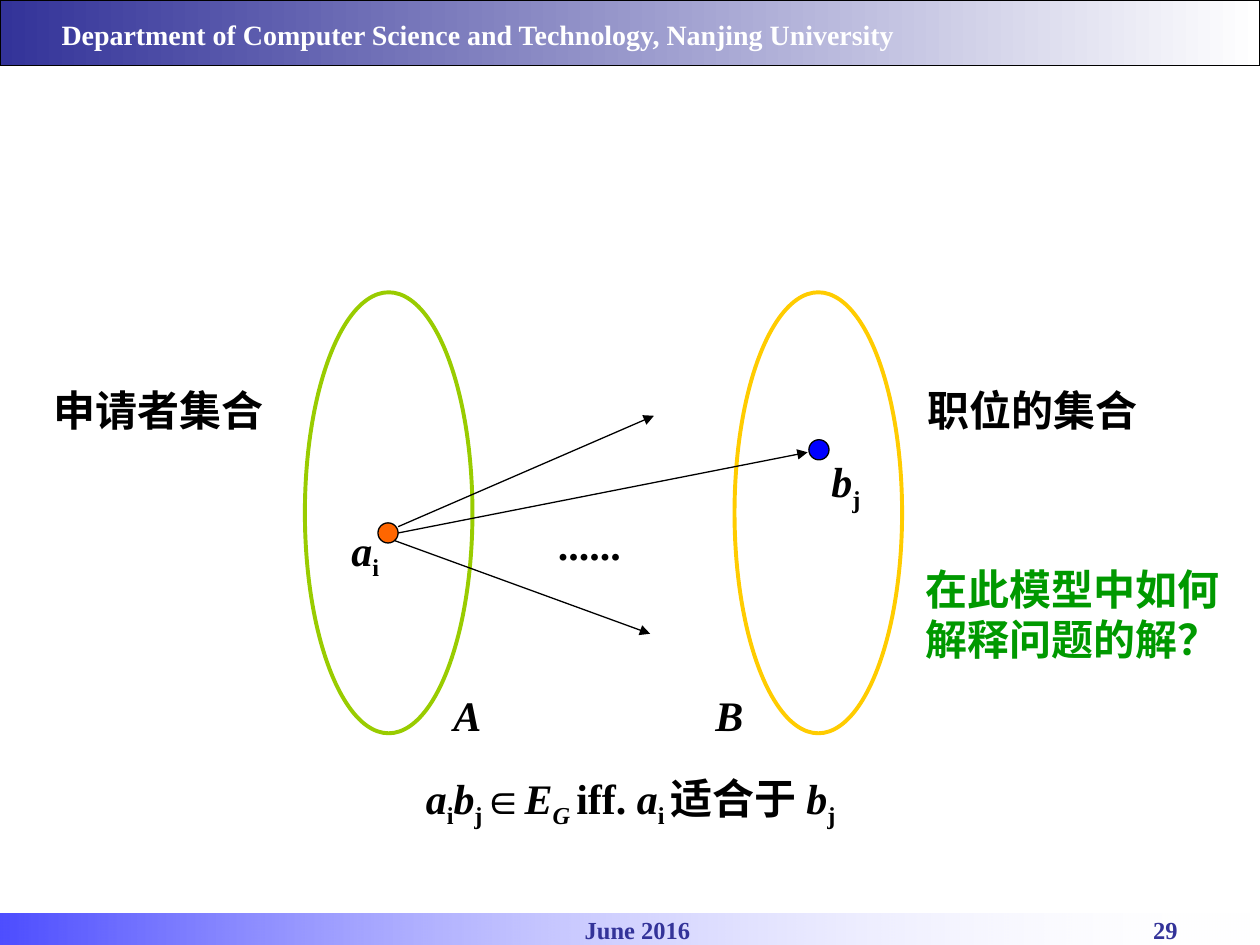
"""Builds the bipartite model slide for the job assignment problem."""
from lxml.etree import SubElement
from pptx import Presentation
from pptx.dml.color import RGBColor
from pptx.enum.shapes import MSO_CONNECTOR as CONN, MSO_SHAPE as SHAPE
from pptx.enum.text import PP_ALIGN as ALIGN
from pptx.oxml.ns import qn
from pptx.util import Inches, Pt

W, H = 10, 7.5
SERIF = "Times New Roman"
BLACK, WHITE, NAVY, GREEN = "000000", "FFFFFF", "333399", "009900"

# Gradient bands: top, height, start colour, opacity of both ends, line
BANDS = [(0, 0.52, NAVY, (100, 100), BLACK),
         (7.25, 0.25, "0000FF", (70, 0), None)]

# Sets: left, colour; nodes: left, top, colour
SET_TOP, SET_W, SET_H, DOT = 2.32, 1.33, 3.5, 0.16
SETS = [(2.42, "99CC00"), (5.83, "FFCC00")]
NODES = [(3, 4.15, "FF6600"), (6.42, 3.49, "0000FF")]
ARROWS = [((3.16, 4.23), (6.41, 3.59)),
          ((3.16, 4.18), (5.19, 3.3)),
          ((3.13, 4.29), (5.16, 5.03))]

# Runs are (text, style): i is italic, s is subscript
A_I = [("a", "i"), ("i", "s")]
B_J = [("b", "i"), ("j", "s")]
RULE = [*A_I, *B_J, ("∈", ""), ("E", "i"), ("G ", "is"), ("iff. ", ""),
        ("a", "i"), ("i ", "s"), ("适合于 ", ""), *B_J]
FOOTER = dict(size=14, color=NAVY, align=ALIGN.CENTER)

# Texts: box, runs, format
TEXTS = [
    ((4.06, 7.21, 2, 0.33), [("June 2016", "")], FOOTER),
    ((8.75, 7.21, 1, 0.33), [("29", "")], FOOTER),
    ((0.39, 0.12, 7.08, 0.35),
     [("Department of Computer Science and Technology, Nanjing University", "")],
     dict(size=16, color=WHITE, align=ALIGN.JUSTIFY, spacing=0.9)),
    ((3.5, 5.42, 0.83, 0.5), [("A", "i")], {}),
    ((5.58, 5.42, 0.83, 0.5), [("B", "i")], {}),
    ((2.69, 4.11, 0.83, 0.5), A_I, {}),
    ((6.5, 3.57, 0.83, 0.5), B_J, {}),
    ((4.33, 4.07, 1.08, 0.5), [("......", "")], {}),
    ((0.33, 3, 2.01, 0.5), [("申请者集合", "")], {}),
    ((7.26, 3, 2.2, 0.5), [("职位的集合", "")], {}),
    ((2.92, 6.08, 4.17, 0.5), RULE, dict(align=ALIGN.CENTER)),
    ((7.18, 4.42, 2.67, 0.91), [("在此模型中如何解释问题的解？", "")],
     dict(font="Calibri", color=GREEN, align=ALIGN.CENTER)),
]


def rgb(value):
    return RGBColor.from_string(value)


def add_shape(s, kind, box, fill=None, line=None, width=0.75):
    sp = s.shapes.add_shape(kind, *map(Inches, box))
    sp.shadow.inherit = False
    if fill:
        sp.fill.solid()
        sp.fill.fore_color.rgb = rgb(fill)
    else:
        sp.fill.background()
    if line:
        sp.line.color.rgb = rgb(line)
        sp.line.width = Pt(width)
    else:
        sp.line.fill.background()
    return sp


def add_band(s, top, height, color, opacity, line):
    sp = add_shape(s, SHAPE.RECTANGLE, (0, top, W, height), line=line)
    sp.fill.gradient()
    sp.fill.gradient_angle = 0
    for stop, c in zip(sp.fill.gradient_stops, (color, WHITE)):
        stop.color.rgb = rgb(c)
    colors = sp._element.spPr.findall(f"{qn('a:gradFill')}//{qn('a:srgbClr')}")
    for clr, share in zip(colors, opacity):
        if share < 100:
            SubElement(clr, qn("a:alpha"), val=str(share * 1000))


def add_arrow(s, start, end):
    c = s.shapes.add_connector(CONN.STRAIGHT, *map(Inches, start + end))
    c.line.color.rgb = rgb(BLACK)
    c.line.width = Pt(0.75)
    SubElement(c.line._get_or_add_ln(), qn("a:tailEnd"), type="triangle")
    SubElement(c._element.spPr, qn("a:effectLst"))


def add_text(s, box, runs, size=24, color=BLACK, font=SERIF,
             align=ALIGN.LEFT, spacing=None):
    tf = s.shapes.add_textbox(*map(Inches, box)).text_frame
    tf.word_wrap = True
    p = tf.paragraphs[0]
    p.alignment = align
    p.line_spacing = spacing
    for text, style in runs:
        r = p.add_run()
        r.text = text
        f = r.font
        f.name, f.size, f.bold, f.italic = font, Pt(size), True, "i" in style
        f.color.rgb = rgb(color)
        if "s" in style:
            f._element.set("baseline", "-25000")


def main():
    prs = Presentation()
    prs.slide_width, prs.slide_height = Inches(W), Inches(H)
    s = prs.slides.add_slide(prs.slide_layouts[6])
    for band in BANDS:
        add_band(s, *band)
    for left, color in SETS:
        add_shape(s, SHAPE.OVAL, (left, SET_TOP, SET_W, SET_H),
                  line=color, width=2.25)
    for left, top, color in NODES:
        add_shape(s, SHAPE.OVAL, (left, top, DOT, DOT), color, BLACK)
    for start, end in ARROWS:
        add_arrow(s, start, end)
    for box, runs, fmt in TEXTS:
        add_text(s, box, runs, **fmt)
    prs.save("out.pptx")


if __name__ == "__main__":
    main()
